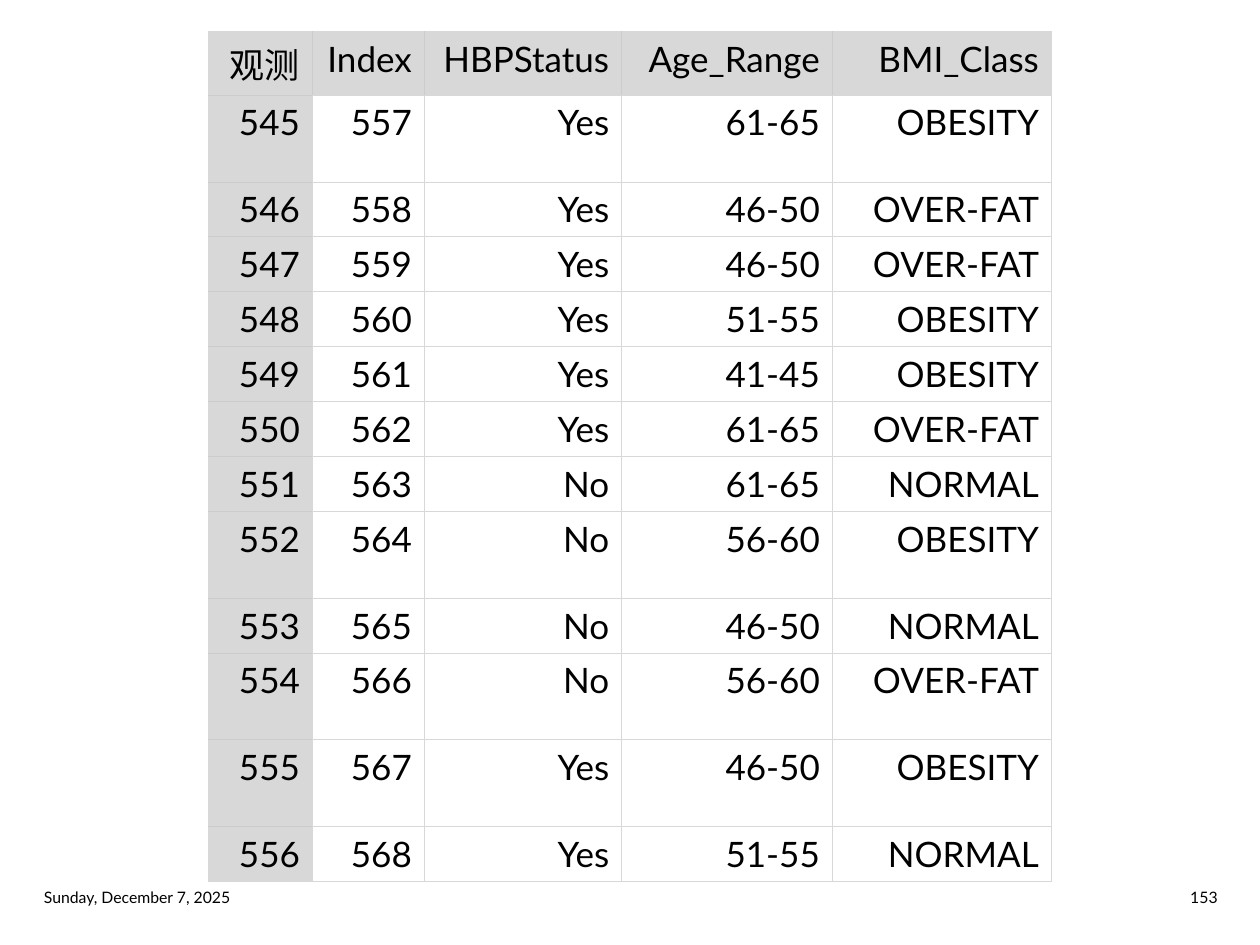
from lxml.etree import SubElement
from pptx import Presentation
from pptx.dml.color import RGBColor
from pptx.enum.text import MSO_ANCHOR, PP_ALIGN
from pptx.oxml.ns import qn
from pptx.util import Pt

BLACK = RGBColor(0x00, 0x00, 0x00)
GREY = RGBColor(0xD8, 0xD8, 0xD8)
DARK_GREY = RGBColor(0xCC, 0xCC, 0xCC)
FONT = "Lato"

HEADER = ("观测", "Index", "HBPStatus", "Age_Range", "BMI_Class")
RECORDS = [
    ("545", "557", "Yes", "61-65", "OBESITY"),
    ("546", "558", "Yes", "46-50", "OVER-FAT"),
    ("547", "559", "Yes", "46-50", "OVER-FAT"),
    ("548", "560", "Yes", "51-55", "OBESITY"),
    ("549", "561", "Yes", "41-45", "OBESITY"),
    ("550", "562", "Yes", "61-65", "OVER-FAT"),
    ("551", "563", "No", "61-65", "NORMAL"),
    ("552", "564", "No", "56-60", "OBESITY"),
    ("553", "565", "No", "46-50", "NORMAL"),
    ("554", "566", "No", "56-60", "OVER-FAT"),
    ("555", "567", "Yes", "46-50", "OBESITY"),
    ("556", "568", "Yes", "51-55", "NORMAL"),
]
COL_WIDTHS = (59.6, 64, 112.8, 120.4, 125.2)
ROW_HEIGHT, TALL_HEIGHT = 30.2, 49.7
TALL_ROWS = {1, 8, 10, 11}


def add_text(p, text, size, align):
    p.alignment = align
    r = p.add_run()
    r.text = text
    r.font.name = FONT
    r.font.size = Pt(size)
    r.font.color.rgb = BLACK


def set_borders(cell, colors):
    """Draw half-point borders; colors are left, right, top, bottom."""
    tc_pr = cell._tc.get_or_add_tcPr()
    for side, color in zip("LRTB", colors):
        ln = SubElement(tc_pr, qn(f"a:ln{side}"), w=str(Pt(0.5)))
        fill = SubElement(ln, qn("a:solidFill"))
        SubElement(fill, qn("a:srgbClr"), val=str(color))


def add_records_table(s, left, top):
    rows = [HEADER, *RECORDS]
    heights = [TALL_HEIGHT if i in TALL_ROWS else ROW_HEIGHT for i in range(len(rows))]
    table = s.shapes.add_table(len(rows), len(HEADER), Pt(left), Pt(top),
                               Pt(sum(COL_WIDTHS)), Pt(sum(heights))).table
    table.first_row = table.horz_banding = False
    for column, width in zip(table.columns, COL_WIDTHS):
        column.width = Pt(width)
    for row, height in zip(table.rows, heights):
        row.height = Pt(height)

    last_row, last_col = len(rows) - 1, len(HEADER) - 1
    for i, values in enumerate(rows):
        for j, value in enumerate(values):
            cell = table.cell(i, j)
            add_text(cell.text_frame.paragraphs[0], value, 20, PP_ALIGN.RIGHT)
            shaded = i == 0 or j == 0
            outer_sides = (j == 0, j == last_col, i == 0, i == last_row)
            set_borders(cell, [DARK_GREY if shaded and not outer else GREY
                               for outer in outer_sides])
            if shaded:
                cell.fill.solid()
                cell.fill.fore_color.rgb = GREY
            else:
                cell.fill.background()


def add_footer_text(s, left, top, width, height, text, align):
    tf = s.shapes.add_textbox(Pt(left), Pt(top), Pt(width), Pt(height)).text_frame
    tf.word_wrap = True
    tf.vertical_anchor = MSO_ANCHOR.MIDDLE
    add_text(tf.paragraphs[0], text, 9, align)


def main():
    prs = Presentation()
    prs.slide_width, prs.slide_height = Pt(720), Pt(540)
    s = prs.slides.add_slide(prs.slide_layouts[6])
    add_records_table(s, 119, 18)
    add_footer_text(s, 18, 503.3, 171.4, 18.7, "Sunday, December 7, 2025", PP_ALIGN.LEFT)
    add_footer_text(s, 531.4, 503.3, 171.4, 18.7, "153", PP_ALIGN.RIGHT)
    prs.save("out.pptx")


if __name__ == "__main__":
    main()
